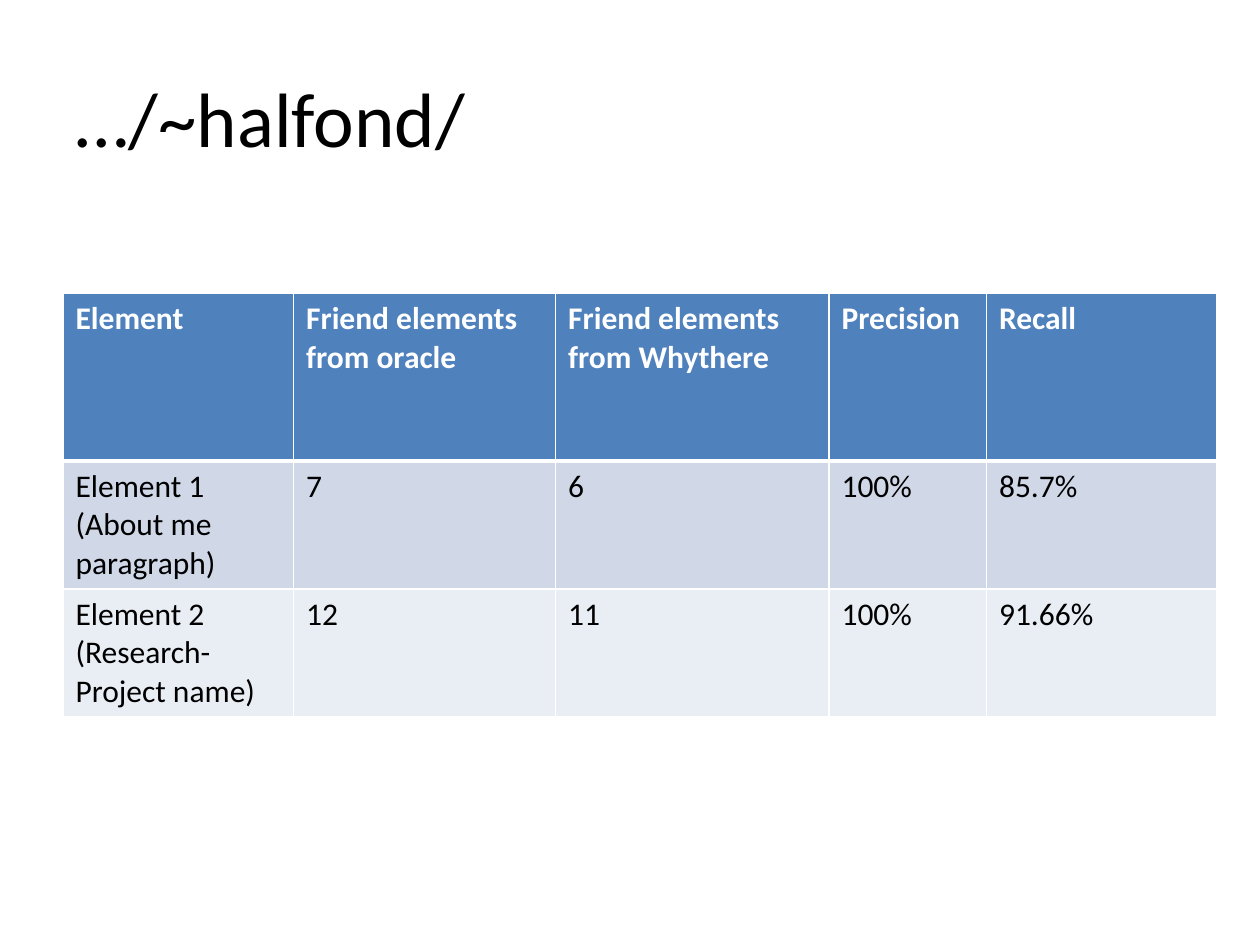
"""Build a slide with a title and a table of precision and recall per element."""
from lxml.etree import SubElement
from pptx import Presentation
from pptx.dml.color import RGBColor
from pptx.enum.text import MSO_ANCHOR, PP_ALIGN
from pptx.oxml.ns import qn
from pptx.util import Inches, Pt

COLORS = {"header": "4F81BD", "odd": "D0D8E8", "even": "E9EDF4",
          "white": "FFFFFF", "black": "000000"}
COLUMN_WIDTHS = [1.83, 2.08, 2.17, 1.25, 1.83]
ROW_HEIGHTS = [1.33, 1, 1]
ROWS = [
    ["Element", "Friend elements from oracle", "Friend elements from Whythere",
     "Precision", "Recall"],
    ["Element 1\n(About me paragraph)", "7", "6", "100%", "85.7%"],
    ["Element 2\n(Research-Project name)", "12", "11", "100%", "91.66%"],
]
ROW_STYLES = [("header", "white", True), ("odd", "black", False), ("even", "black", False)]


def add_text(para, text, size, color, bold=False):
    span = para.add_run()
    span.text = text
    span.font.name = "Calibri"
    span.font.size = Pt(size)
    span.font.bold = bold
    span.font.color.rgb = RGBColor.from_string(COLORS[color])


def add_border(cell, side, width):
    line = SubElement(cell._tc.get_or_add_tcPr(), qn(f"a:ln{side}"), w=str(Pt(width)))
    fill = SubElement(line, qn("a:solidFill"))
    SubElement(fill, qn("a:srgbClr"), val=COLORS["white"])


deck = Presentation()
deck.slide_width, deck.slide_height = Inches(10), Inches(7.5)
page = deck.slides.add_slide(deck.slide_layouts[5])

title = page.shapes.title
title.left, title.top = Inches(0.5), Inches(0.3)
title.width, title.height = Inches(9), Inches(1.25)
title.text_frame.vertical_anchor = MSO_ANCHOR.MIDDLE
title_para = title.text_frame.paragraphs[0]
title_para.alignment = PP_ALIGN.LEFT
add_text(title_para, "…/~halfond/", 44, "black")

table = page.shapes.add_table(
    len(ROWS), len(COLUMN_WIDTHS), Inches(0.5), Inches(2.33),
    Inches(sum(COLUMN_WIDTHS)), Inches(sum(ROW_HEIGHTS))).table
for column, width in zip(table.columns, COLUMN_WIDTHS):
    column.width = Inches(width)

for index, (row, height, texts, style) in enumerate(
        zip(table.rows, ROW_HEIGHTS, ROWS, ROW_STYLES)):
    row.height = Inches(height)
    background, color, bold = style
    for cell, text in zip(row.cells, texts):
        for side in "LRTB":
            heavy = (index, side) in [(0, "B"), (1, "T")]
            add_border(cell, side, 3 if heavy else 1)
        cell.fill.solid()
        cell.fill.fore_color.rgb = RGBColor.from_string(COLORS[background])
        frame = cell.text_frame
        for number, part in enumerate(text.split("\n")):
            para = frame.add_paragraph() if number else frame.paragraphs[0]
            add_text(para, part, 18, color, bold)

deck.save("out.pptx")
